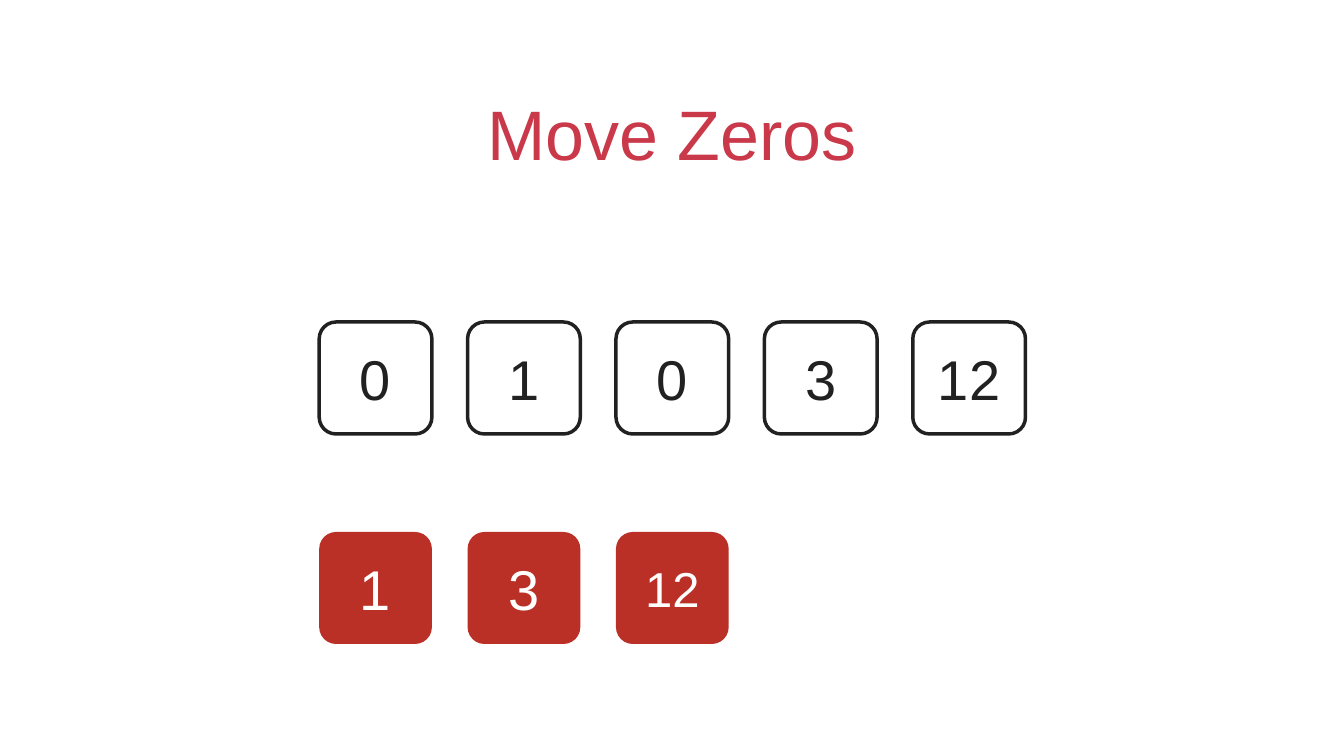
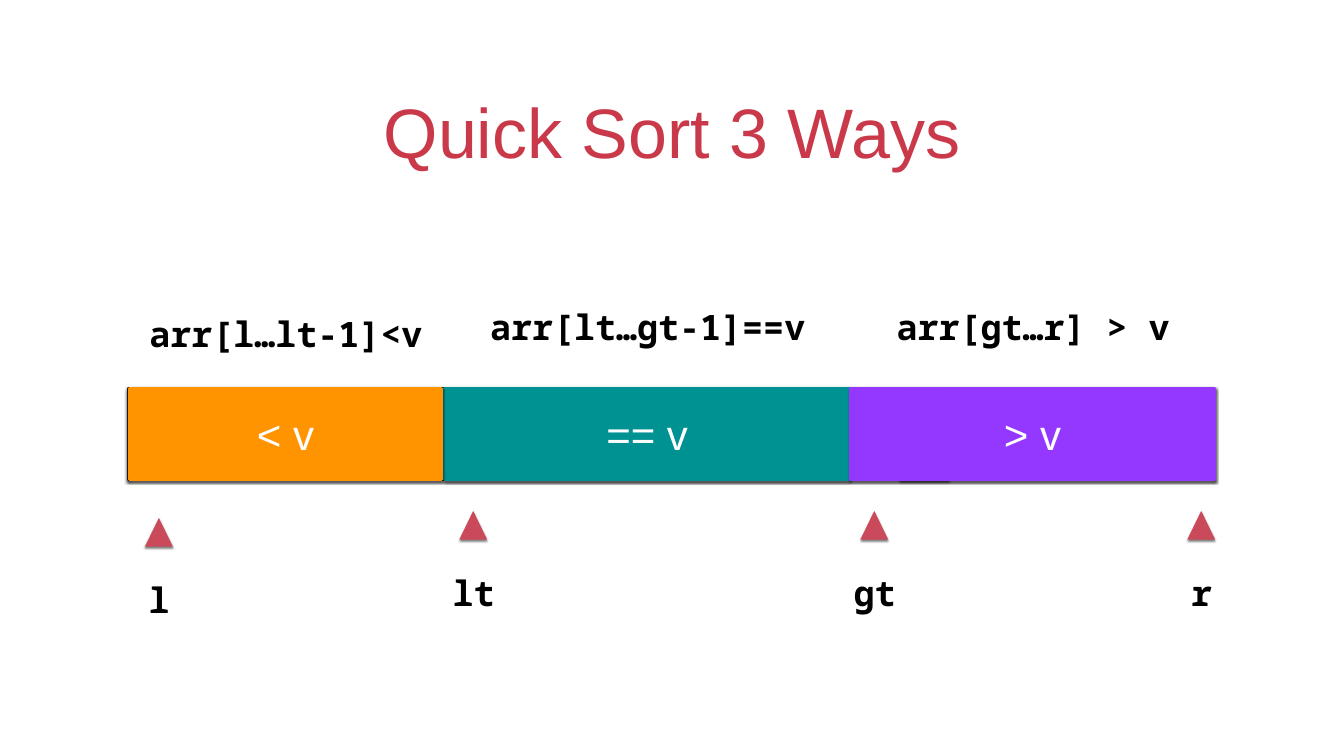
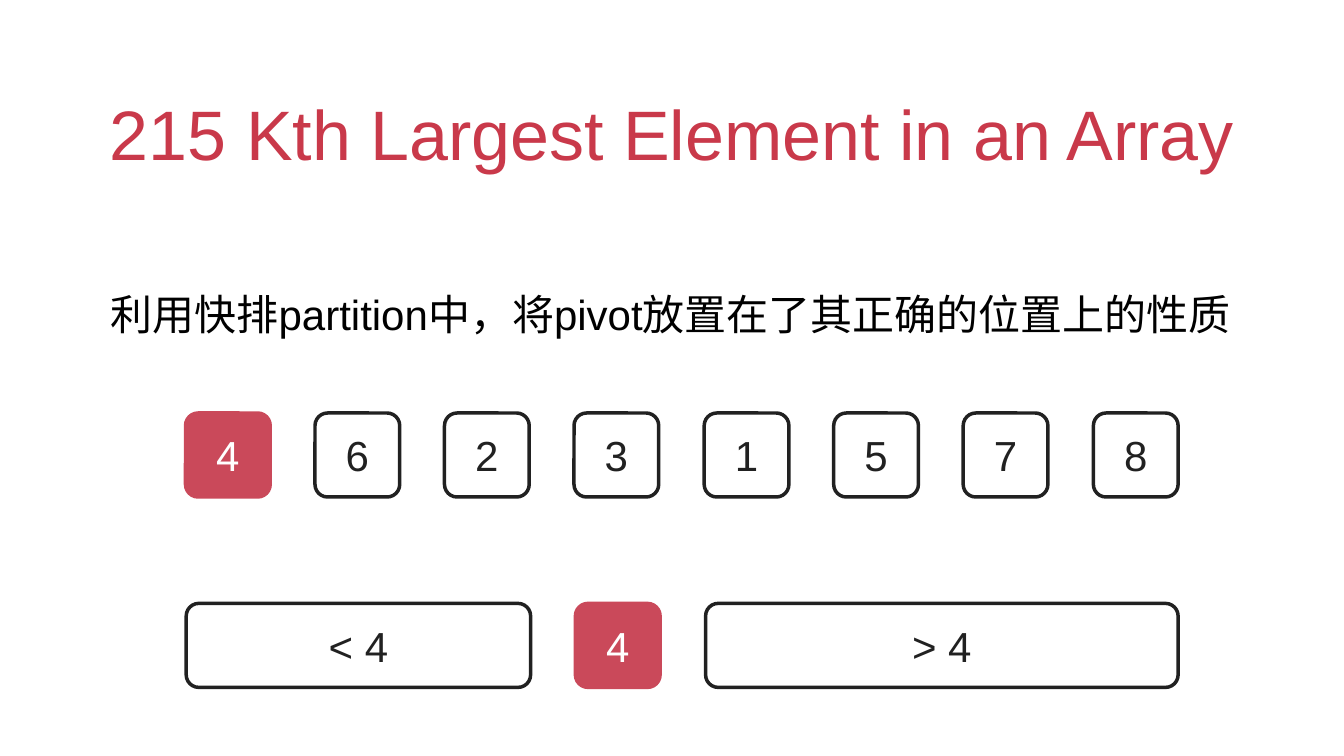
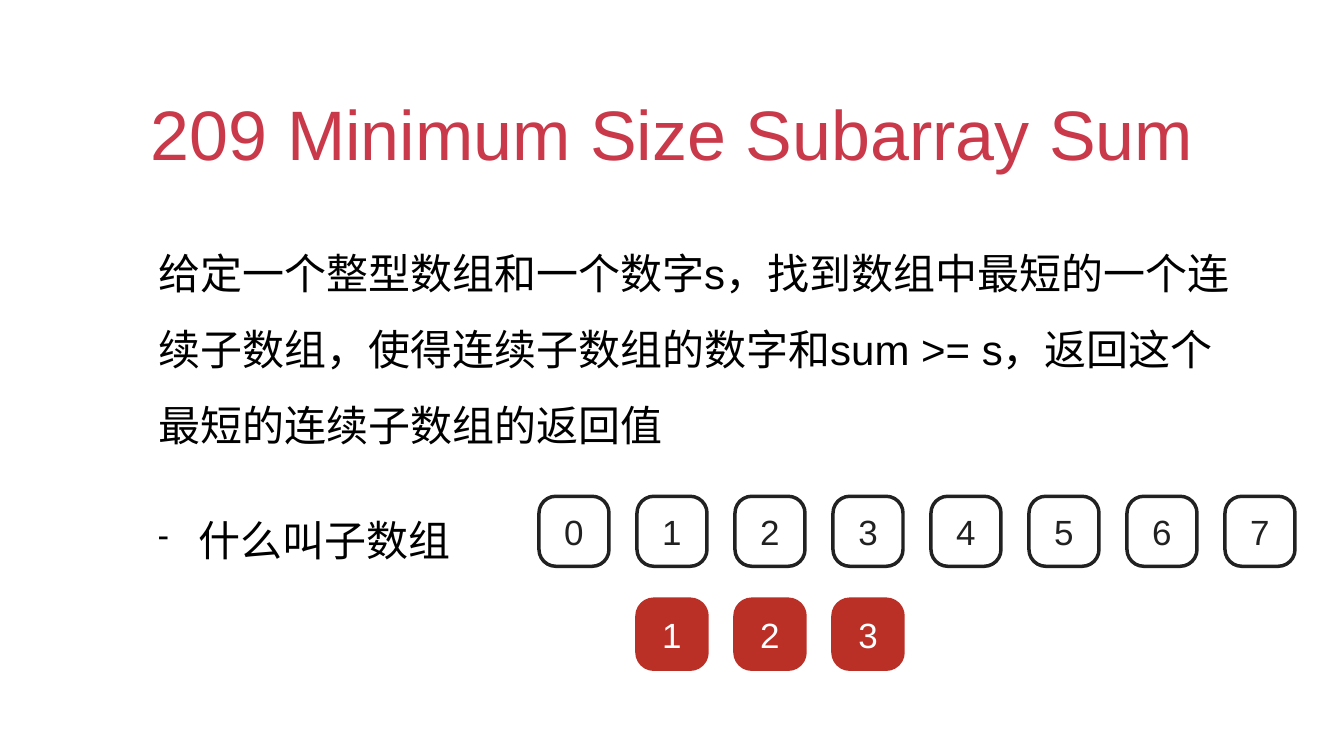
import pptx
import pptx.dml.color
import pptx.enum.shapes
import pptx.enum.text
import pptx.oxml
import pptx.oxml.ns
import pptx.util

PX = 12700  # EMU in one px of a 1920 x 1080 page
RGB = pptx.dml.color.RGBColor
SHAPES = pptx.enum.shapes.MSO_SHAPE
ALIGN = pptx.enum.text.PP_ALIGN
ANCHOR = pptx.enum.text.MSO_ANCHOR
FIT = pptx.enum.text.MSO_AUTO_SIZE

TITLE_RED = RGB(0xC9, 0x39, 0x4A)
PIVOT_RED = RGB(0xCA, 0x49, 0x5A)
RESULT_RED = RGB(0xBA, 0x30, 0x27)
INK = RGB(0x21, 0x21, 0x21)
BLACK = RGB(0, 0, 0)
WHITE = RGB(0xFF, 0xFF, 0xFF)
BLUE = RGB(0x00, 0x96, 0xFF)
ORANGE = RGB(0xFF, 0x93, 0x00)
TEAL = RGB(0x00, 0x91, 0x93)
PURPLE = RGB(0x94, 0x37, 0xFF)

SHADOW = (
    f'<a:outerShdw {pptx.oxml.ns.nsdecls("a")} blurRad="38100" dist="25400" dir="5400000">'
    '<a:srgbClr val="000000"><a:alpha val="50000"/></a:srgbClr></a:outerShdw>'
)


def write(shape, text, size, color, align=ALIGN.CENTER, font="Arial", bold=None,
          anchor=ANCHOR.MIDDLE, wrap=True, fit=FIT.NONE):
    """Put one styled paragraph into a shape and return it."""
    frame = shape.text_frame
    frame.text = text
    frame.margin_left = frame.margin_right = frame.margin_top = frame.margin_bottom = 4 * PX
    frame.vertical_anchor, frame.word_wrap, frame.auto_size = anchor, wrap, fit
    para = frame.paragraphs[0]
    para.alignment = align
    for span in para.runs:
        span.font.name, span.font.size, span.font.bold = font, pptx.util.Pt(size), bold
        span.font.color.rgb = color
    return para


def add_box(page, rect, text, size, fill=None, line=INK, corner=0.15, shadow=False):
    """Add a box: rounded with a corner, square without; no fill means outlined."""
    kind = SHAPES.ROUNDED_RECTANGLE if corner else SHAPES.RECTANGLE
    box = page.shapes.add_shape(kind, *[value * PX for value in rect])
    if corner:
        box.adjustments[0] = corner
    box.shadow.inherit = False
    if shadow:
        box._element.spPr.find(pptx.oxml.ns.qn("a:effectLst")).append(pptx.oxml.parse_xml(SHADOW))
    if fill is None:
        box.fill.background()
    else:
        box.fill.solid()
        box.fill.fore_color.rgb = fill
    if line is None:
        box.line.fill.background()
    else:
        box.line.color.rgb = line
        box.line.width = pptx.util.Pt(5)
    if text:
        write(box, text, size, INK if fill is None else WHITE)


deck = pptx.Presentation()
deck.slide_width, deck.slide_height = 1920 * PX, 1080 * PX

# Pages and their titles
pages = []
for title, top in [
    ("Move Zeros", 94),
    ("Quick Sort 3 Ways", 91),
    ("215 Kth Largest Element in an Array", 94),
    ("209 Minimum Size Subarray Sum", 94),
]:
    page = deck.slides.add_slide(deck.slide_layouts[6])
    title_box = page.shapes.add_textbox(140 * PX, top * PX, 1640 * PX, 160 * PX)
    write(title_box, title, 100, TITLE_RED, anchor=ANCHOR.BOTTOM)
    pages.append(page)
zeros_page, sort_page, kth_page, subarray_page = pages

# Move Zeros: the array, and below it the non-zero elements
for column, number in enumerate(["0", "1", "0", "3", "12"]):
    add_box(zeros_page, (456 + 212 * column, 460, 161, 160), number, 80)
for column, (number, size) in enumerate([("1", 80), ("3", 80), ("12", 70)]):
    add_box(zeros_page, (456 + 212 * column, 760, 161, 160), number, size, RESULT_RED, None)

# Quick Sort: the array bar and its three partitions
for left, width, text, fill, line in [
    (1288, 66, "", BLUE, BLUE),
    (184, 1551, "", None, INK),
    (636, 577, "== v", TEAL, TEAL),
    (185, 446, "< v", ORANGE, ORANGE),
    (1216, 518, "> v", PURPLE, PURPLE),
]:
    add_box(sort_page, (left, 555, width, 130), text, 60, fill, line, corner=0, shadow=True)

# Quick Sort: the index range above each partition
for left, top, width, text in [
    (178, 444, 461, "arr[l…lt-1]<v"),
    (695, 433, 461, "arr[lt…gt-1]==v"),
    (1274, 433, 404, "arr[gt…r] > v"),
]:
    label = sort_page.shapes.add_textbox(left * PX, top * PX, width * PX, 66 * PX)
    write(label, text, 50, BLACK, font="Noto Sans Mono", bold=True, fit=FIT.SHAPE_TO_FIT_TEXT)

# Quick Sort: index pointers, each a triangle over its name
for center, top, name in [(227, 740, "l"), (676, 730, "lt"), (1249, 730, "gt"), (1716, 730, "r")]:
    outline = sort_page.shapes.build_freeform(center, top, scale=PX)
    outline.add_line_segments([(center + 20, top + 41), (center - 20, top + 41)], close=True)
    pointer = outline.convert_to_shape()
    pointer.shadow.inherit = False
    pointer._element.spPr.find(pptx.oxml.ns.qn("a:effectLst")).append(pptx.oxml.parse_xml(SHADOW))
    pointer.fill.solid()
    pointer.fill.fore_color.rgb = PIVOT_RED
    pointer.line.fill.background()
    width = 9 + 30 * len(name)
    label = sort_page.shapes.add_textbox(
        (center - width // 2) * PX, (top + 84) * PX, width * PX, 66 * PX)
    write(label, name, 50, BLACK, font="Noto Sans Mono", bold=True, wrap=False,
          fit=FIT.SHAPE_TO_FIT_TEXT)

# Explanations on the last two pages
for page, rect, text, bulleted in [
    (kth_page, (154, 384, 1640, 92),
     "利用快排partition中，将pivot放置在了其正确的位置上的性质", False),
    (subarray_page, (222, 308, 1539, 344),
     "给定一个整型数组和一个数字s，找到数组中最短的一个连续子数组，"
     "使得连续子数组的数字和sum >= s，返回这个最短的连续子数组的返回值", False),
    (subarray_page, (222, 707, 1539, 92), "什么叫子数组", True),
]:
    body = page.shapes.add_textbox(*[value * PX for value in rect])
    para = write(body, text, 60, BLACK, ALIGN.LEFT, fit=FIT.SHAPE_TO_FIT_TEXT)
    para.line_spacing = 1.5
    if bulleted:
        properties = para._p.get_or_add_pPr()
        properties.set("marL", str(58 * PX))
        properties.set("indent", str(-58 * PX))
        for tag, key, value in [("a:buSzPct", "val", "75000"), ("a:buChar", "char", "-")]:
            bullet = pptx.oxml.parse_xml(f'<{tag} {pptx.oxml.ns.nsdecls("a")} {key}="{value}"/>')
            properties.append(bullet)

# Kth Largest: the array with its pivot, then the array partitioned
for column, number in enumerate("46231578"):
    colors = (PIVOT_RED, PIVOT_RED) if column == 0 else (None, INK)
    add_box(kth_page, (265 + 1297 * column // 7, 590, 121, 120), number, 60, *colors)
add_box(kth_page, (266, 862, 492, 120), "< 4", 60)
add_box(kth_page, (822, 862, 121, 120), "4", 60, PIVOT_RED, PIVOT_RED)
add_box(kth_page, (1008, 862, 675, 120), "> 4", 60)

# Minimum Size Subarray: the array and one subarray under its own elements
for number in range(8):
    left = 770 + 140 * number
    add_box(subarray_page, (left, 709, 100, 100), str(number), 50, corner=0.24)
    if 1 <= number <= 3:
        add_box(subarray_page, (left, 856, 100, 100), str(number), 50,
                RESULT_RED, RESULT_RED, corner=0.24)

deck.save("out.pptx")
